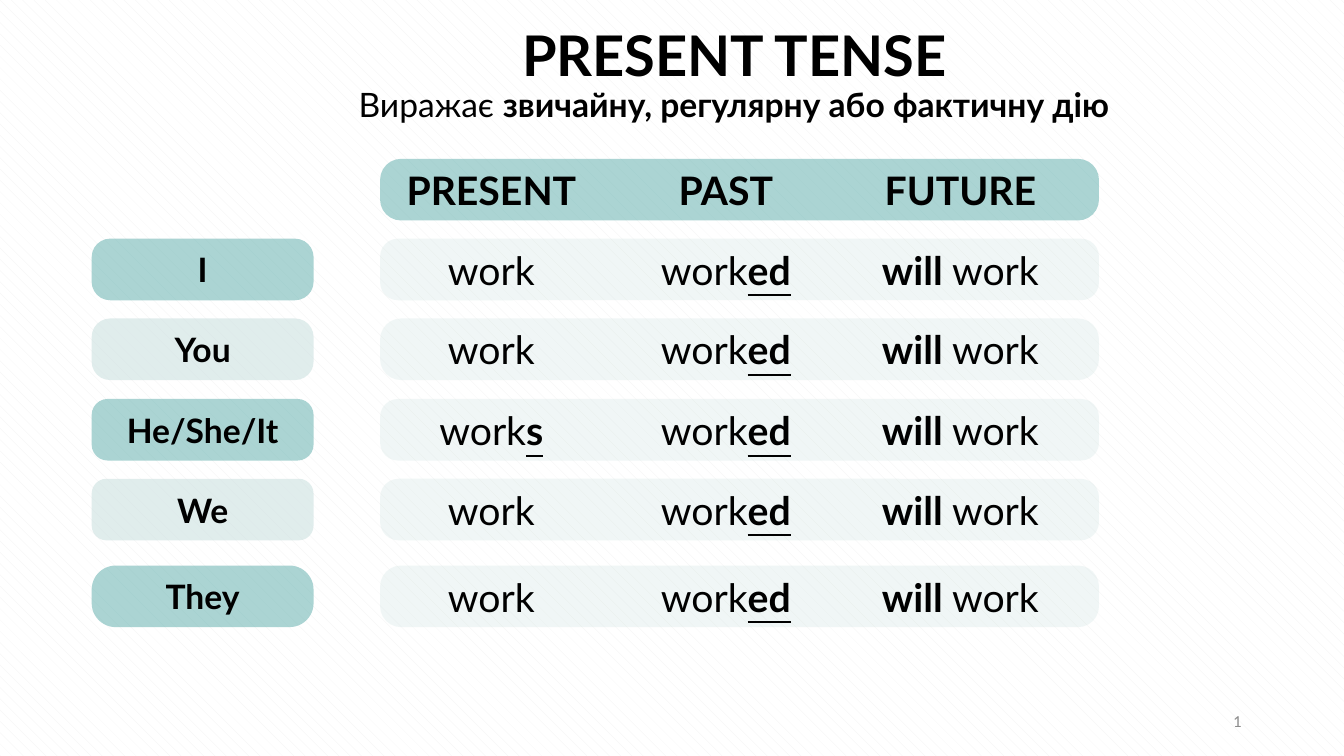
from lxml import etree
from pptx import Presentation
from pptx.dml.color import RGBColor
from pptx.enum import dml, shapes, text
from pptx.oxml import ns
from pptx.util import Pt

BLACK = RGBColor(0x00, 0x00, 0x00)
WHITE = RGBColor(0xFF, 0xFF, 0xFF)
HATCH = RGBColor(0xF2, 0xF2, 0xF2)
GREY = RGBColor(0x8C, 0x8C, 0x8C)
TEAL = RGBColor(0x66, 0xB2, 0xB0)
PALE_TEAL = RGBColor(0xC8, 0xDF, 0xDE)
MIST = RGBColor(0xC7, 0xDF, 0xDC)

BAR_HEIGHT = 44
VERB_LEFT, VERB_WIDTH = 271.5, 513.5
PRONOUN_LEFT, PRONOUN_WIDTH = 65.5, 158.5
COLUMN_CENTERS = [351, 518.5, 686]


def write_text(shape, runs, size, wrap=False, anchor=text.MSO_ANCHOR.MIDDLE):
    frame = shape.text_frame
    frame_format = {
        "margin_left": 0,
        "margin_top": 0,
        "margin_right": 0,
        "margin_bottom": 0,
        "word_wrap": wrap,
        "vertical_anchor": anchor,
        "auto_size": text.MSO_AUTO_SIZE.SHAPE_TO_FIT_TEXT,
    }
    for name, value in frame_format.items():
        setattr(frame, name, value)
    paragraph = frame.paragraphs[0]
    paragraph.alignment = text.PP_ALIGN.CENTER
    for words, bold, underline in runs:
        run = paragraph.add_run()
        run.text = words
        run.font.color.rgb = BLACK
        font_format = {"name": "Lato", "size": Pt(size), "bold": bold, "underline": underline}
        for name, value in font_format.items():
            setattr(run.font, name, value)


def add_bar(left, top, width, color, opacity, corner):
    bar = slide.shapes.add_shape(
        shapes.MSO_SHAPE.ROUNDED_RECTANGLE, Pt(left), Pt(top), Pt(width), Pt(BAR_HEIGHT)
    )
    bar.shadow.inherit = False
    bar.adjustments[0] = corner
    bar.line.fill.background()
    bar.fill.solid()
    bar.fill.fore_color.rgb = color
    color_element = bar.fill._xPr.find(".//" + ns.qn("a:srgbClr"))
    etree.SubElement(color_element, ns.qn("a:alpha"), val=str(opacity * 1000))


presentation = Presentation()
presentation.slide_width = Pt(960)
presentation.slide_height = Pt(540)
slide = presentation.slides.add_slide(presentation.slide_layouts[5])

background = slide.background.fill
background.patterned()
background.pattern = dml.MSO_PATTERN.SHINGLE
background.fore_color.rgb = HATCH
background.back_color.rgb = WHITE

title = slide.shapes.title
title_place = {"left": 271.5, "top": 15, "width": 506, "height": 48}
for name, value in title_place.items():
    setattr(title, name, Pt(value))
write_text(title, [("PRESENT TENSE", True, None)], 40, wrap=True)

subtitle = slide.shapes.add_textbox(Pt(237), Pt(60), Pt(574.5), Pt(29))
subtitle_runs = [
    ("Виражає ", False, None),
    ("звичайну, регулярну або фактичну дію", True, None),
]
write_text(subtitle, subtitle_runs, 24, wrap=True, anchor=text.MSO_ANCHOR.TOP)

work = ("work", False, None)
present = ([work], 66)
third_person = ([work, ("s", True, True)], 80)
past = ([work, ("ed", True, True)], 99)
future = ([("will", True, None), (" work", False, None)], 123)
headings = [
    ([("PRESENT", True, None)], 127),
    ([("PAST", True, None)], 73),
    ([("FUTURE", True, None)], 114),
]

rows = [
    (113.5, TEAL, 55, 0.34, headings),
    (170.5, MIST, 25, 0.29, [present, past, future]),
    (227.5, MIST, 25, 0.34, [present, past, future]),
    (285, MIST, 25, 0.29, [third_person, past, future]),
    (342, MIST, 25, 0.3, [present, past, future]),
    (404, MIST, 25, 0.34, [present, past, future]),
]
for top, color, opacity, corner, cells in rows:
    add_bar(VERB_LEFT, top, VERB_WIDTH, color, opacity, corner)
    for center, (runs, width) in zip(COLUMN_CENTERS, cells):
        cell = slide.shapes.add_textbox(Pt(center - width / 2), Pt(top + 5), Pt(width), Pt(34))
        write_text(cell, runs, 28)

pronouns = [
    ("I", TEAL, 0.3, 8),
    ("You", PALE_TEAL, 0.3, 46),
    ("He/She/It", TEAL, 0.26, 115),
    ("We", PALE_TEAL, 0.24, 37),
    ("They", TEAL, 0.39, 58),
]
for (top, *_), (pronoun, color, corner, width) in zip(rows[1:], pronouns):
    add_bar(PRONOUN_LEFT, top, PRONOUN_WIDTH, color, 55, corner)
    left = PRONOUN_LEFT + (PRONOUN_WIDTH - width) / 2
    label = slide.shapes.add_textbox(Pt(left), Pt(top + 7.5), Pt(width), Pt(29))
    write_text(label, [(pronoun, True, None)], 24)

number_box = slide.shapes.add_textbox(Pt(678), Pt(500.5), Pt(216), Pt(29))
number_box.text_frame.word_wrap = True
number_box.text_frame.vertical_anchor = text.MSO_ANCHOR.MIDDLE
number_paragraph = number_box.text_frame.paragraphs[0]
number_paragraph.alignment = text.PP_ALIGN.RIGHT
number_run = number_paragraph.add_run()
number_run.text = "1"
number_run.font.name = "Calibri"
number_run.font.size = Pt(12)
number_run.font.color.rgb = GREY
number_field = etree.SubElement(
    number_paragraph._p,
    ns.qn("a:fld"),
    id="{B6F15528-21DE-4FAA-801E-634DDDAF4B2B}",
    type="slidenum",
)
number_field.extend(list(number_run._r))
number_paragraph._p.remove(number_run._r)

presentation.save("out.pptx")
